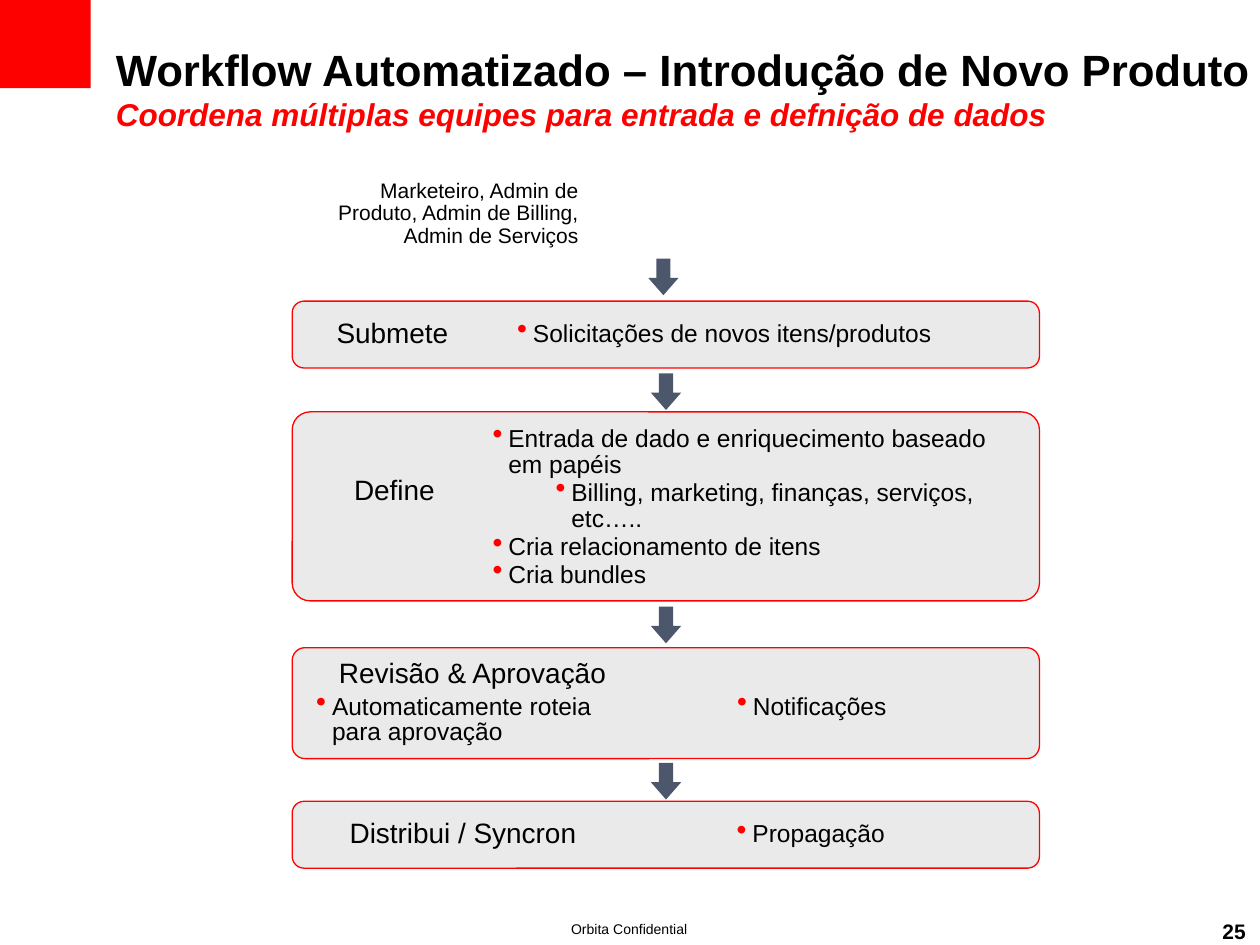
from dataclasses import dataclass

from lxml import etree
from pptx import Presentation
from pptx.dml.color import RGBColor
from pptx.enum.shapes import MSO_SHAPE
from pptx.enum.text import MSO_ANCHOR, MSO_AUTO_SIZE, PP_ALIGN
from pptx.oxml.ns import qn
from pptx.util import Pt

LEFT, CENTER, RIGHT = PP_ALIGN.LEFT, PP_ALIGN.CENTER, PP_ALIGN.RIGHT
TOP, MIDDLE = MSO_ANCHOR.TOP, MSO_ANCHOR.MIDDLE


@dataclass(frozen=True)
class Theme:
    font: str = "Arial"
    black: RGBColor = RGBColor(0, 0, 0)
    red: RGBColor = RGBColor(0xFF, 0, 0)
    corner: RGBColor = RGBColor(0xFD, 0, 0)
    card: RGBColor = RGBColor(0xEA, 0xEA, 0xEA)
    arrow: RGBColor = RGBColor(0x4D, 0x57, 0x6B)
    title: int = 25
    subtitle: int = 18
    label: int = 16
    body: int = 14
    note: int = 12
    footer: int = 8


theme = Theme()

presentation = Presentation()
presentation.slide_width, presentation.slide_height = Pt(720), Pt(540)
slide = presentation.slides.add_slide(presentation.slide_layouts[5])


def add_shape(kind, box, fill, line=None, adjustments=()):
    shape = slide.shapes.add_shape(kind, *map(Pt, box))
    shape.shadow.inherit = False
    shape.fill.solid()
    shape.fill.fore_color.rgb = fill
    if line is None:
        shape.line.fill.background()
    else:
        shape.line.color.rgb = line
        shape.line.width = Pt(0.75)
    for index, value in enumerate(adjustments):
        shape.adjustments[index] = value


def add_text(box, lines, size, align=LEFT, anchor=TOP, spacing=1.0,
             insets=(0, 0), bold=False, wrap=True, bullet_indents=()):
    """Add a text box; bullet_indents holds one left indent per bulleted line."""
    frame = slide.shapes.add_textbox(*map(Pt, box)).text_frame
    frame.word_wrap = wrap
    frame.vertical_anchor = anchor
    frame.margin_left = frame.margin_right = Pt(insets[0])
    frame.margin_top = frame.margin_bottom = Pt(insets[1])
    for index, line in enumerate(lines):
        paragraph = frame.paragraphs[0] if index == 0 else frame.add_paragraph()
        paragraph.text = line
        if bullet_indents:
            properties = paragraph._p.get_or_add_pPr()
            properties.set("marL", str(Pt(bullet_indents[index])))
            properties.set("indent", str(-Pt(9)))
            color = etree.SubElement(properties, qn("a:buClr"))
            etree.SubElement(color, qn("a:srgbClr"), val=str(theme.red))
            etree.SubElement(properties, qn("a:buSzPct"), val="120000")
            etree.SubElement(properties, qn("a:buChar"), char="•")
        paragraph.alignment = align
        paragraph.line_spacing = spacing
        if index:
            paragraph.space_before = Pt(0.7)
        paragraph.font.name = theme.font
        paragraph.font.size = Pt(size)
        paragraph.font.bold = bold
        paragraph.font.color.rgb = theme.black


# Corner block and title
add_shape(MSO_SHAPE.RECTANGLE, (0, 0, 51.8, 50.4), theme.corner)

title = slide.shapes.title
title.left, title.top, title.width, title.height = map(Pt, (66.2, 23, 650.2, 54))
frame = title.text_frame
frame.margin_left = frame.margin_right = frame.margin_top = frame.margin_bottom = 0
frame.auto_size = MSO_AUTO_SIZE.NONE
frame.word_wrap = True
frame.vertical_anchor = MIDDLE
paragraph = frame.paragraphs[0]
paragraph.alignment = LEFT
heading = paragraph.add_run()
heading.text = "Workflow Automatizado – Introdução de Novo Produto"
paragraph.add_line_break()
subtitle = paragraph.add_run()
subtitle.text = "Coordena múltiplas equipes para entrada e defnição de dados"
for run, size, color in ((heading, theme.title, theme.black),
                         (subtitle, theme.subtitle, theme.red)):
    run.font.name = theme.font
    run.font.size = Pt(size)
    run.font.bold = True
    run.font.italic = run is subtitle
    run.font.color.rgb = color

# Roles that start the flow
add_text((184.3, 99.4, 153.4, 46.8),
         ["Marketeiro, Admin de Produto, Admin de Billing, Admin de Serviços"],
         theme.note, RIGHT, spacing=0.9, insets=(7.2, 3.6))

# Step cards: top, height, label, label box
steps = [
    (172.1, 38.2, "Submete", (162, 182.9, 124.6, 16.6)),
    (235.4, 108, "Define", (175, 272.2, 100.8, 17.3)),
    (370.1, 63.4, "Revisão & Aprovação", (187.2, 377.3, 165.6, 17.3)),
    (457.9, 38.2, "Distribui / Syncron", (186.5, 468.7, 156.2, 17.3)),
]
corner_radius = {38.2: 0.176, 108: 0.095, 63.4: 0.116}
for top, height, label, label_box in steps:
    add_shape(MSO_SHAPE.ROUNDED_RECTANGLE, (167, top, 427, height),
              theme.card, theme.red, [corner_radius[height]])
    add_text(label_box, [label], theme.label, CENTER, MIDDLE, 0.85)

# Step details: box, alignment, line spacing, lines with their indents
details = [
    ((287.3, 183.6, 253.4, 15.1), CENTER, 0.9,
     {"Solicitações de novos itens/produtos": 9}),
    ((281.5, 243.4, 300.2, 94.3), LEFT, 0.9,
     {"Entrada de dado e enriquecimento baseado em papéis": 9,
      "Billing, marketing, finanças, serviços, etc…..": 45,
      "Cria relacionamento de itens": 9,
      "Cria bundles": 9}),
    ((180.7, 397.4, 157.7, 28.8), LEFT, 0.85,
     {"Automaticamente roteia para aprovação": 9}),
    ((421.2, 397.4, 136.8, 15.1), LEFT, 0.85, {"Notificações": 9}),
    ((348.5, 469.4, 229.7, 15.1), CENTER, 0.9, {"Propagação": 9}),
]
for box, align, spacing, lines in details:
    add_text(box, list(lines), theme.body, align, spacing=spacing,
             bullet_indents=list(lines.values()))

# Arrows into each step
for center, top in ((379.1, 147.8), (380.6, 213.4), (380.6, 346.7), (380.6, 436)):
    add_shape(MSO_SHAPE.DOWN_ARROW, (center - 8.65, top, 17.3, 20.9),
              theme.arrow, adjustments=(0.468, 0.572))

# Footer and page number
add_text((245.5, 517.7, 228.2, 26.6), ["Orbita Confidential"], theme.footer,
         CENTER, MIDDLE, insets=(7.2, 3.6), wrap=False)
add_text((689, 521.3, 32.4, 19.4), ["25"], theme.note, CENTER,
         insets=(7.2, 3.6), bold=True)

presentation.save("out.pptx")
